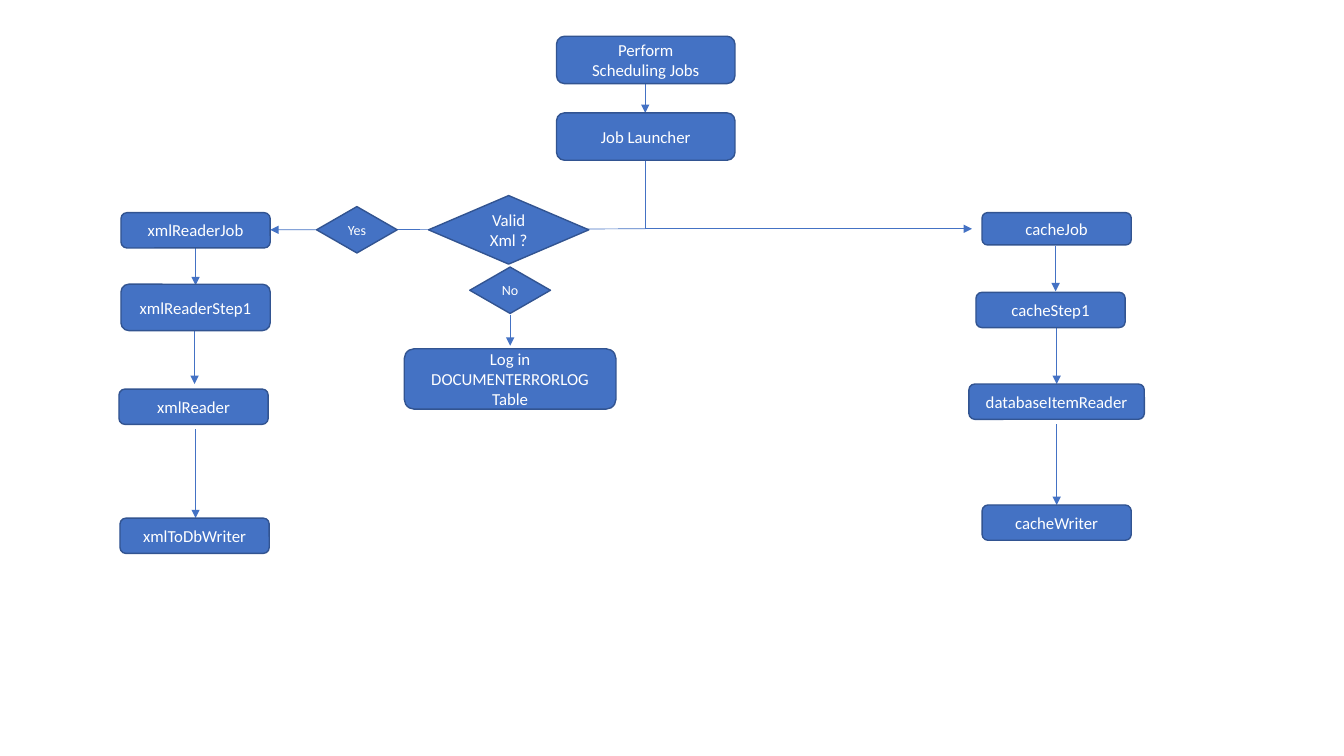
from dataclasses import dataclass

from lxml import etree
from pptx import Presentation
from pptx import util as u
from pptx.dml.color import RGBColor
from pptx.enum import shapes, text
from pptx.oxml import ns
from pptx.slide import Slide

BLUE = RGBColor(0x44, 0x72, 0xC4)
NAVY = RGBColor(0x32, 0x54, 0x91)
WHITE = RGBColor(0xFF, 0xFF, 0xFF)
FONT = "Calibri"
ROUND = shapes.MSO_SHAPE.ROUNDED_RECTANGLE
CHOICE = shapes.MSO_SHAPE.FLOWCHART_DECISION


@dataclass
class Node:
    label: str
    left: float
    top: float
    width: float = 1.48
    height: float = 0.35
    kind: shapes.MSO_SHAPE = ROUND
    size: int = 12


@dataclass
class Link:
    x1: float
    y1: float
    x2: float
    y2: float
    arrow: bool = True


NODES = [
    Node("Perform\nScheduling Jobs", 5.52, 0.36, 1.77, 0.47),
    Node("Job Launcher", 5.52, 1.12, 1.77, 0.47),
    Node("xmlReaderJob", 1.2, 2.11),
    Node("xmlReaderStep1", 1.2, 2.82, height=0.46),
    Node("xmlReader", 1.18, 3.86),
    Node("xmlToDbWriter", 1.19, 5.14),
    Node("cacheJob", 9.74, 2.11, height=0.32),
    Node("cacheStep1", 9.68, 2.9),
    Node("databaseItemReader", 9.61, 3.81, 1.74),
    Node("cacheWriter", 9.74, 5.01),
    Node("Valid Xml ?", 4.25, 1.94, 1.59, 0.68, CHOICE),
    Node("Yes", 3.14, 2.05, 0.8, 0.46, CHOICE, 10),
    Node("No", 4.66, 2.65, 0.8, 0.46, CHOICE, 10),
    Node("Log in DOCUMENTERRORLOG\nTable", 4.01, 3.46, 2.1, 0.6),
]

LINKS = [
    Link(6.4, 0.83, 6.4, 1.12),
    Link(6.4, 1.59, 6.4, 2.27, arrow=False),
    Link(6.4, 2.27, 2.68, 2.28),
    Link(6.4, 2.27, 9.64, 2.27),
    Link(5.06, 3.13, 5.06, 3.43),
    Link(1.94, 2.46, 1.94, 2.83),
    Link(1.93, 3.28, 1.93, 3.81),
    Link(1.94, 4.26, 1.94, 5.14),
    Link(10.47, 2.44, 10.47, 2.89),
    Link(10.48, 3.25, 10.48, 3.81),
    Link(10.48, 4.21, 10.48, 5.01),
]


def draw_link(slide: Slide, link: Link) -> None:
    ends = [u.Inches(v) for v in (link.x1, link.y1, link.x2, link.y2)]
    line = slide.shapes.add_connector(shapes.MSO_CONNECTOR.STRAIGHT, *ends)
    line.line.color.rgb = BLUE
    line.line.width = u.Pt(0.5)
    if link.arrow:
        stroke = line.line._get_or_add_ln()
        etree.SubElement(stroke, ns.qn("a:tailEnd"), type="triangle")
    etree.SubElement(line._element.spPr, ns.qn("a:effectLst"))


def draw_node(slide: Slide, node: Node) -> None:
    place = [u.Inches(v) for v in (node.left, node.top, node.width, node.height)]
    box = slide.shapes.add_shape(node.kind, *place)
    box.shadow.inherit = False
    box.fill.solid()
    box.fill.fore_color.rgb = BLUE
    box.line.color.rgb = NAVY
    box.line.width = u.Pt(1)
    frame = box.text_frame
    frame.text = node.label
    frame.word_wrap = True
    frame.vertical_anchor = text.MSO_ANCHOR.MIDDLE
    if node.size < 12:
        frame.margin_left = frame.margin_right = 0
    for para in frame.paragraphs:
        para.alignment = text.PP_ALIGN.CENTER
        for run in para.runs:
            run.font.name = FONT
            run.font.size = u.Pt(node.size)
            run.font.color.rgb = WHITE


def main() -> None:
    deck = Presentation()
    deck.slide_width = u.Inches(13.33)
    deck.slide_height = u.Inches(7.5)
    slide = deck.slides.add_slide(deck.slide_layouts[6])
    for link in LINKS:
        draw_link(slide, link)
    for node in NODES:
        draw_node(slide, node)
    deck.save("out.pptx")


if __name__ == "__main__":
    main()
